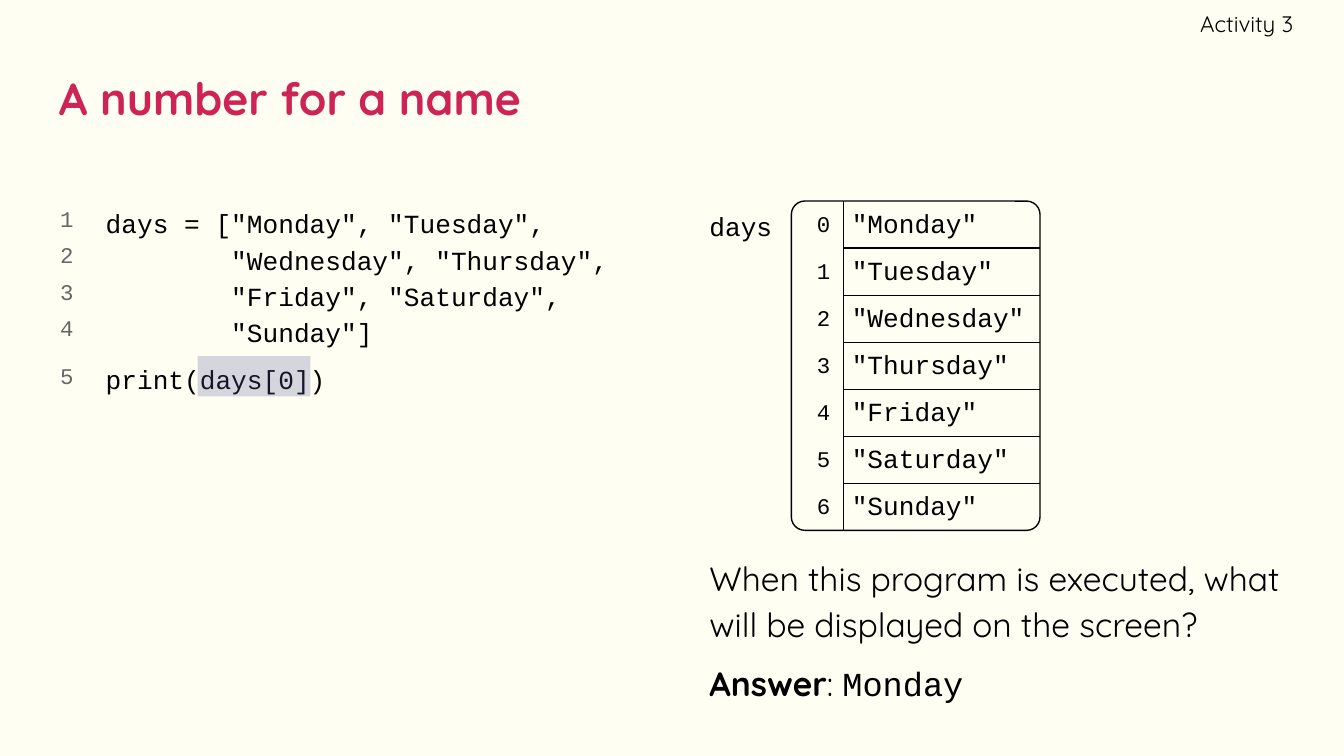
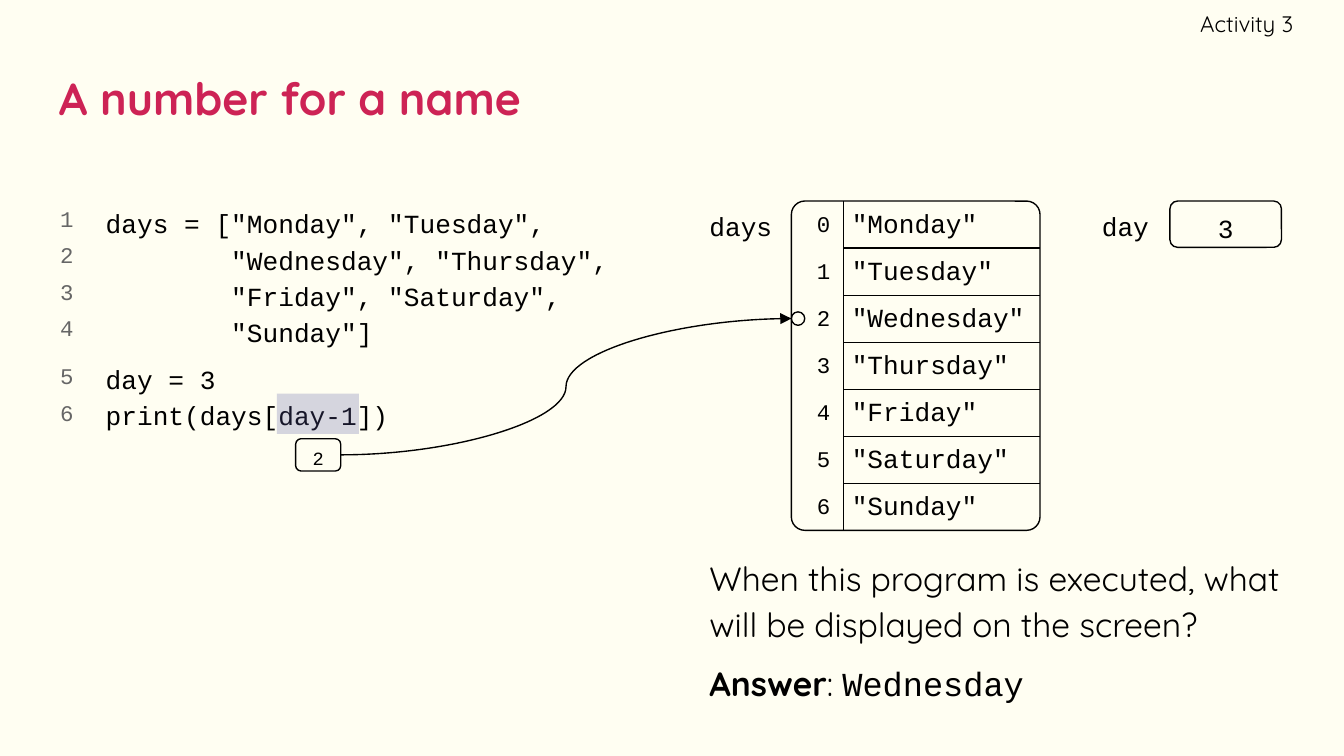
import lxml.etree
import pptx
import pptx.dml.color
import pptx.enum.shapes
import pptx.enum.text
import pptx.oxml.ns
import pptx.util

SLIDE_WIDTH = pptx.util.Inches(10)
SLIDE_HEIGHT = SLIDE_WIDTH * 9 // 16
CELL = SLIDE_WIDTH / 100
COLORS = {
    "paper": "FFFEF2",
    "title": "CD2355",
    "ink": "000000",
    "line_number": "666666",
    "highlight": "5B5BA5",
}
PROSE, CODE = "Quicksand", "Courier New"
HAIRLINE = pptx.util.Pt(0.75)
ALIGN = pptx.enum.text.PP_ALIGN
MIDDLE = pptx.enum.text.MSO_ANCHOR.MIDDLE
SHAPE = pptx.enum.shapes.MSO_SHAPE
CODE_SPACING, PROSE_SPACING = 1.15, 1.14

DAYS = ["Monday", "Tuesday", "Wednesday", "Thursday", "Friday", "Saturday", "Sunday"]
LIST_CODE = [
    'days = ["Monday", "Tuesday",',
    '        "Wednesday", "Thursday",',
    '        "Friday", "Saturday",',
    '        "Sunday"]',
]
LIST_LEFT, LIST_TOP, LIST_WIDTH, ROW_HEIGHT = 58.88, 14.96, 18.5, 3.5
INDEX_WIDTH = 3.9
LIST_HEIGHT = ROW_HEIGHT * len(DAYS)
ANSWER_LEFT, ANSWER_WIDTH = 51.8, 44.7
QUESTION = "When this program is executed, what will be displayed on the screen?"


def cells(*lengths):
    return [round(length * CELL) for length in lengths]


def rgb(color):
    return pptx.dml.color.RGBColor.from_string(COLORS[color])


def style_font(font, size, family=CODE, color="ink", bold=False):
    font.size, font.name, font.bold = pptx.util.Pt(size), family, bold
    font.color.rgb = rgb(color)


def write(frame, text, size, family=CODE, color="ink", bold=False, align=ALIGN.LEFT,
          spacing=1.0, inset=(1, 1, 1, 1), anchor=pptx.enum.text.MSO_ANCHOR.TOP):
    frame.word_wrap = True
    frame.vertical_anchor = anchor
    (frame.margin_left, frame.margin_top,
     frame.margin_right, frame.margin_bottom) = cells(*inset)
    frame.text = text
    for paragraph in frame.paragraphs:
        paragraph.alignment, paragraph.line_spacing = align, spacing
        for run in paragraph.runs:
            style_font(run.font, size, family, color, bold)


def add_text(slide, area, text, size, **style):
    frame = slide.shapes.add_textbox(*cells(*area)).text_frame
    write(frame, text, size, **style)
    return frame


def add_outline(shapes, kind, area, roundness=None):
    outline = shapes.add_shape(kind, *cells(*area))
    outline.shadow.inherit = False
    outline.fill.background()
    outline.line.color.rgb = rgb("ink")
    outline.line.width = HAIRLINE
    if roundness is not None:
        outline.adjustments[0] = roundness
    return outline


def add_value_box(slide, area, value, size, side_inset):
    box = add_outline(slide.shapes, SHAPE.ROUNDED_RECTANGLE, area, 0.167)
    write(box.text_frame, value, size, align=ALIGN.CENTER, spacing=CODE_SPACING,
          inset=(side_inset, 0.2, side_inset, 0), anchor=MIDDLE)


def add_variable_name(slide, left, width, name):
    add_text(slide, (left, 14.3, width, 4), name, 14, spacing=CODE_SPACING)


def add_highlight(slide, left, top, width):
    highlight = slide.shapes.add_shape(SHAPE.RECTANGLE, *cells(left, top, width, 3))
    highlight.shadow.inherit = False
    highlight.line.fill.background()
    highlight.fill.solid()
    highlight.fill.fore_color.rgb = rgb("highlight")
    tint = highlight.fill._xPr.find(".//" + pptx.oxml.ns.qn("a:srgbClr"))
    lxml.etree.SubElement(tint, pptx.oxml.ns.qn("a:alpha"), val="25000")


def set_borders(cell, visible):
    qn = pptx.oxml.ns.qn
    properties = cell._tc.get_or_add_tcPr()
    for position, side in enumerate("LRTB"):
        border = lxml.etree.Element(qn("a:ln" + side), w=str(HAIRLINE))
        if side in visible:
            fill = lxml.etree.SubElement(border, qn("a:solidFill"))
            lxml.etree.SubElement(fill, qn("a:srgbClr"), val=COLORS["ink"])
        else:
            lxml.etree.SubElement(border, qn("a:noFill"))
        properties.insert(position, border)


def add_days_list(slide):
    area = (LIST_LEFT, LIST_TOP, LIST_WIDTH, LIST_HEIGHT)
    add_outline(slide.shapes, SHAPE.ROUNDED_RECTANGLE, area, 0.054)
    table = slide.shapes.add_table(len(DAYS), 2, *cells(*area)).table
    table.first_row = table.horz_banding = False
    widths = cells(INDEX_WIDTH, LIST_WIDTH - INDEX_WIDTH)
    for column, width in zip(table.columns, widths):
        column.width = width
    for index, day in enumerate(DAYS):
        table.rows[index].height = cells(ROW_HEIGHT)[0]
        above = "T" if index > 0 else ""
        below = "B" if index < len(DAYS) - 1 else ""
        entries = [(str(index), 12, ALIGN.RIGHT, "R"),
                   (f'"{day}"', 14, ALIGN.LEFT, "L" + above + below)]
        for column, (text, size, align, borders) in enumerate(entries):
            cell = table.cell(index, column)
            write(cell.text_frame, text, size, align=align, spacing=CODE_SPACING)
            cell.vertical_anchor = MIDDLE
            (cell.margin_left, cell.margin_top,
             cell.margin_right, cell.margin_bottom) = cells(0.6, 0, 1, 0)
            cell.fill.background()
            set_borders(cell, borders)
    add_variable_name(slide, ANSWER_LEFT, 6.8, "days")


def add_program(slide, statements):
    lines = LIST_CODE + statements
    code = add_text(slide, (6.88, 14.12, 39.5, 27.5), "\n".join(lines), 14,
                    spacing=CODE_SPACING)
    code.paragraphs[len(LIST_CODE)].space_before = pptx.util.Pt(6)
    numbers = "\n".join(str(number + 1) for number in range(len(lines)))
    gutter = add_text(slide, (3.5, 14.35, 3, 24.5), numbers, 12, color="line_number",
                      spacing=CODE_SPACING, inset=(1, 0.6, 1, 1))
    for index, paragraph in enumerate(gutter.paragraphs[1:], 1):
        paragraph.space_before = pptx.util.Pt(9 if index == len(LIST_CODE) else 3)


def add_question(slide, answer):
    style = dict(family=PROSE, spacing=PROSE_SPACING, inset=(1, 1, 0.6, 1))
    add_text(slide, (ANSWER_LEFT, 40.1, ANSWER_WIDTH, 8.8), QUESTION, 18, **style)
    reply = add_text(slide, (ANSWER_LEFT, 47.9, ANSWER_WIDTH, 5.2), "Answer", 18,
                     bold=True, **style).paragraphs[0]
    for text, family in [(": ", PROSE), (answer, CODE)]:
        run = reply.add_run()
        run.text = text
        style_font(run.font, 18, family)


def add_index_pointer(slide, left, top, index):
    target = LIST_TOP + (index + 0.5) * ROW_HEIGHT
    pointer = slide.shapes.add_group_shape().shapes
    curve = pointer.add_connector(pptx.enum.shapes.MSO_CONNECTOR.CURVE,
                                  *cells(left, top, LIST_LEFT, target))
    curve.line.color.rgb = rgb("ink")
    curve.line.width = HAIRLINE
    qn = pptx.oxml.ns.qn
    lxml.etree.SubElement(curve.line._get_or_add_ln(), qn("a:tailEnd"), type="triangle")
    lxml.etree.SubElement(curve._element.spPr, qn("a:effectLst"))
    add_outline(pointer, SHAPE.OVAL, (LIST_LEFT, target - 0.5, 1, 1))


def add_activity_slide(deck, statements, answer):
    slide = deck.slides.add_slide(deck.slide_layouts[6])
    add_text(slide, (3.4, 3.4, 93.2, 7.7), "A number for a name", 24, family=PROSE,
             color="title", bold=True, anchor=MIDDLE)
    add_text(slide, (74.83, 0, 21.4, 3.45), "Activity 3", 12, family=PROSE,
             align=ALIGN.RIGHT, inset=(1, 1, 0, 1), anchor=MIDDLE)
    add_program(slide, statements)
    add_days_list(slide)
    add_question(slide, answer)
    return slide


def main():
    deck = pptx.Presentation()
    deck.slide_width, deck.slide_height = SLIDE_WIDTH, SLIDE_HEIGHT
    background = deck.slide_master.background.fill
    background.solid()
    background.fore_color.rgb = rgb("paper")

    first = add_activity_slide(deck, ["print(days[0])"], "Monday")
    add_highlight(first, 14.7, 26.5, 8.4)

    second = add_activity_slide(deck, ["day = 3", "print(days[day-1])"], "Wednesday")
    add_highlight(second, 20.6, 29.3, 6.1)
    add_variable_name(second, 81, 6.1, "day")
    add_value_box(second, (87.05, 14.96, 8.3, 3.45), "3", 14, side_inset=1)
    add_value_box(second, (22, 32.65, 3.35, 2.4), "2", 10, side_inset=0)
    add_index_pointer(second, 25.35, 33.85, index=2)
    deck.save("out.pptx")


if __name__ == "__main__":
    main()
